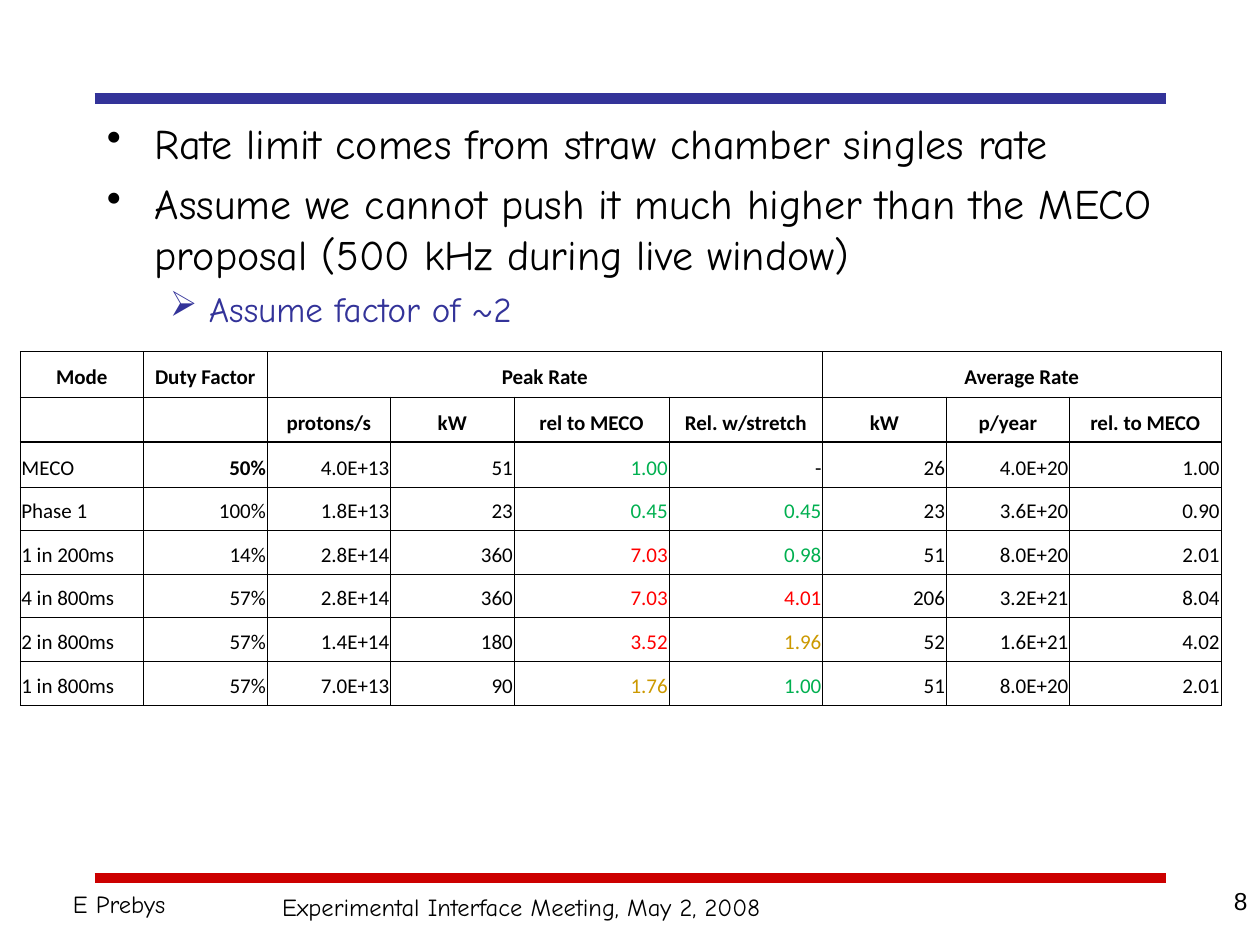
import pptx
import pptx.util
import pptx.dml.color
import pptx.enum.shapes
import pptx.enum.text
import pptx.oxml.ns
import lxml.etree

Inches = pptx.util.Inches
Align = pptx.enum.text.PP_ALIGN
COLORS = {"text": "000000", "blue": "333399", "rule": "CC0000",
          "good": "00B050", "fair": "CC9900", "bad": "FF0000"}


def add_tag(parent, tag, **attrs):
    node = lxml.etree.SubElement(parent, pptx.oxml.ns.qn(tag))
    for key, value in attrs.items():
        node.set(key, str(value))
    return node


def color(name):
    return pptx.dml.color.RGBColor.from_string(COLORS[name])


class Deck:
    font = "Comic Neue"
    grid_font = "Calibri"

    def __init__(self):
        self.file = pptx.Presentation()
        self.file.slide_width = Inches(10)
        self.file.slide_height = Inches(7.5)
        self.slide = self.file.slides.add_slide(self.file.slide_layouts[6])

    def style(self, par, size, tint="text", font=None, bold=False):
        par.font.size = pptx.util.Pt(size)
        par.font.name = font or self.font
        par.font.bold = bold
        par.font.color.rgb = color(tint)

    def rule(self, top, tint):
        line = self.slide.shapes.add_connector(
            pptx.enum.shapes.MSO_CONNECTOR.STRAIGHT,
            Inches(0.75), Inches(top), Inches(9.25), Inches(top))
        line.line.color.rgb = color(tint)
        line.line.width = pptx.util.Pt(6)
        add_tag(line._element.spPr, "a:effectLst")

    def box(self, left, top, width, height, wrap=True):
        shape = self.slide.shapes.add_textbox(
            Inches(left), Inches(top), Inches(width), Inches(height))
        shape.text_frame.word_wrap = wrap
        return shape.text_frame

    def label(self, text, *place, wrap=True, font=None, align=Align.LEFT):
        par = self.box(*place, wrap=wrap).paragraphs[0]
        par.text = text
        par.alignment = align
        self.style(par, 14, font=font)

    def bullets(self, items, *place):
        levels = [("•", 0.38, 0.38, 24, 6, "text"),
                  ("➢", 0.81, 0.31, 20, 5, "blue")]
        frame = self.box(*place)
        for i, (level, text) in enumerate(items):
            mark, left, hang, size, gap, tint = levels[level]
            par = frame.add_paragraph() if i else frame.paragraphs[0]
            par.text = text
            par.level = level
            props = par._p.get_or_add_pPr()
            props.set("marL", str(Inches(left)))
            props.set("indent", str(-Inches(hang)))
            add_tag(add_tag(props, "a:buClr"), "a:srgbClr", val=COLORS[tint])
            add_tag(props, "a:buChar", char=mark)
            if i:
                par.space_before = pptx.util.Pt(gap)
            self.style(par, size, tint)

    def border(self, cell, heavy):
        props = cell._tc.get_or_add_tcPr()
        for side in "LRTB":
            width = pptx.util.Pt(0.96 if side == heavy else 0.23)
            line = add_tag(props, "a:ln" + side, w=width)
            add_tag(add_tag(line, "a:solidFill"), "a:srgbClr", val=COLORS["text"])

    def cell(self, cell, text, align, tint, bold, heavy):
        cell.margin_left = cell.margin_right = Inches(0.01)
        cell.margin_top = cell.margin_bottom = Inches(0.05)
        cell.vertical_anchor = pptx.enum.text.MSO_ANCHOR.BOTTOM
        self.border(cell, heavy)
        cell.fill.background()
        par = cell.text_frame.paragraphs[0]
        if text:
            par.text = text
        par.alignment = align
        self.style(par, 12, tint, self.grid_font, bold)
        if not text:  # keeps empty rows from growing
            add_tag(par._p, "a:endParaRPr", sz=1200)

    def table(self, rows, left, top, widths, heights, spans):
        grid = self.slide.shapes.add_table(
            len(rows), len(widths), Inches(left), Inches(top),
            Inches(sum(widths)), Inches(sum(heights))).table
        grid.first_row = grid.horz_banding = False
        for col, width in zip(grid.columns, widths):
            col.width = Inches(width)
        for row, height in zip(grid.rows, heights):
            row.height = Inches(height)
        for r, row in enumerate(rows):
            for c, text in enumerate(row):
                head = r < 2
                align = Align.CENTER if head else Align.RIGHT if c else Align.LEFT
                tint = "text" if head or c not in (4, 5) else rate_tint(text)
                heavy = {1: "B", 2: "T"}.get(r)
                self.cell(grid.cell(r, c), text, align, tint,
                          head or (r, c) == (2, 1), heavy)
        for first, last in spans:
            grid.cell(0, first).merge(grid.cell(0, last))


def rate_tint(text):
    """Color a relative rate by how far it exceeds the limit."""
    if text == "-":
        return "text"
    rate = float(text)
    return "good" if rate <= 1 else "fair" if rate <= 2 else "bad"


ROWS = [
    ["Mode", "Duty Factor", "Peak Rate", "", "", "", "Average Rate", "", ""],
    ["", "", "protons/s", "kW", "rel to MECO", "Rel. w/stretch",
     "kW", "p/year", "rel. to MECO"],
    ["MECO", "50%", "4.0E+13", "51", "1.00", "-", "26", "4.0E+20", "1.00"],
    ["Phase 1", "100%", "1.8E+13", "23", "0.45", "0.45", "23", "3.6E+20", "0.90"],
    ["1 in 200ms", "14%", "2.8E+14", "360", "7.03", "0.98", "51", "8.0E+20", "2.01"],
    ["4 in 800ms", "57%", "2.8E+14", "360", "7.03", "4.01", "206", "3.2E+21", "8.04"],
    ["2 in 800ms", "57%", "1.4E+14", "180", "3.52", "1.96", "52", "1.6E+21", "4.02"],
    ["1 in 800ms", "57%", "7.0E+13", "90", "1.76", "1.00", "51", "8.0E+20", "2.01"],
]


def main():
    deck = Deck()
    # Rules and footer
    deck.rule(6.97, "rule")
    deck.rule(0.78, "blue")
    deck.label("Experimental Interface Meeting, May 2, 2008",
               2.14, 7.03, 4.01, 0.34, wrap=False)
    deck.label("E Prebys", 0.48, 7.01, 2.77, 0.34)
    # Main points
    deck.bullets([
        (0, "Rate limit comes from straw chamber singles rate"),
        (0, "Assume we cannot push it much higher than the MECO proposal "
            "(500 kHz during live window)"),
        (1, "Assume factor of ~2"),
    ], 0.75, 0.88, 8.5, 4.36)
    # Page number
    deck.label("8", 7.67, 6.98, 2.33, 0.52, font="Arial", align=Align.RIGHT)
    # Rate table
    deck.table(ROWS, 0.16, 2.79,
               [0.98] * 4 + [1.23, 1.22, 0.98, 0.98, 1.2],
               [0.36] * 3 + [0.34, 0.35, 0.34, 0.35, 0.35],
               [(2, 5), (6, 8)])
    deck.file.save("out.pptx")


if __name__ == "__main__":
    main()
